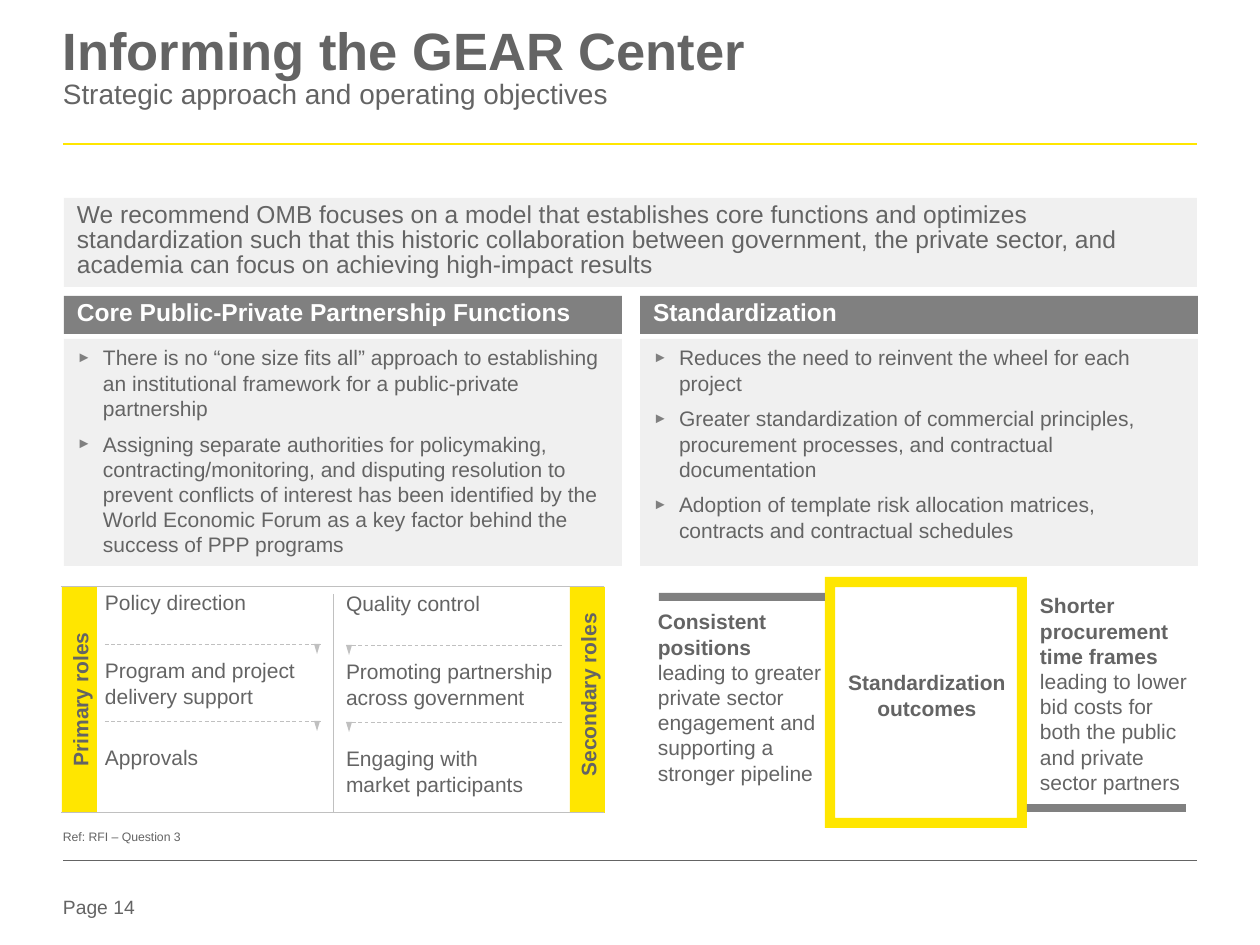
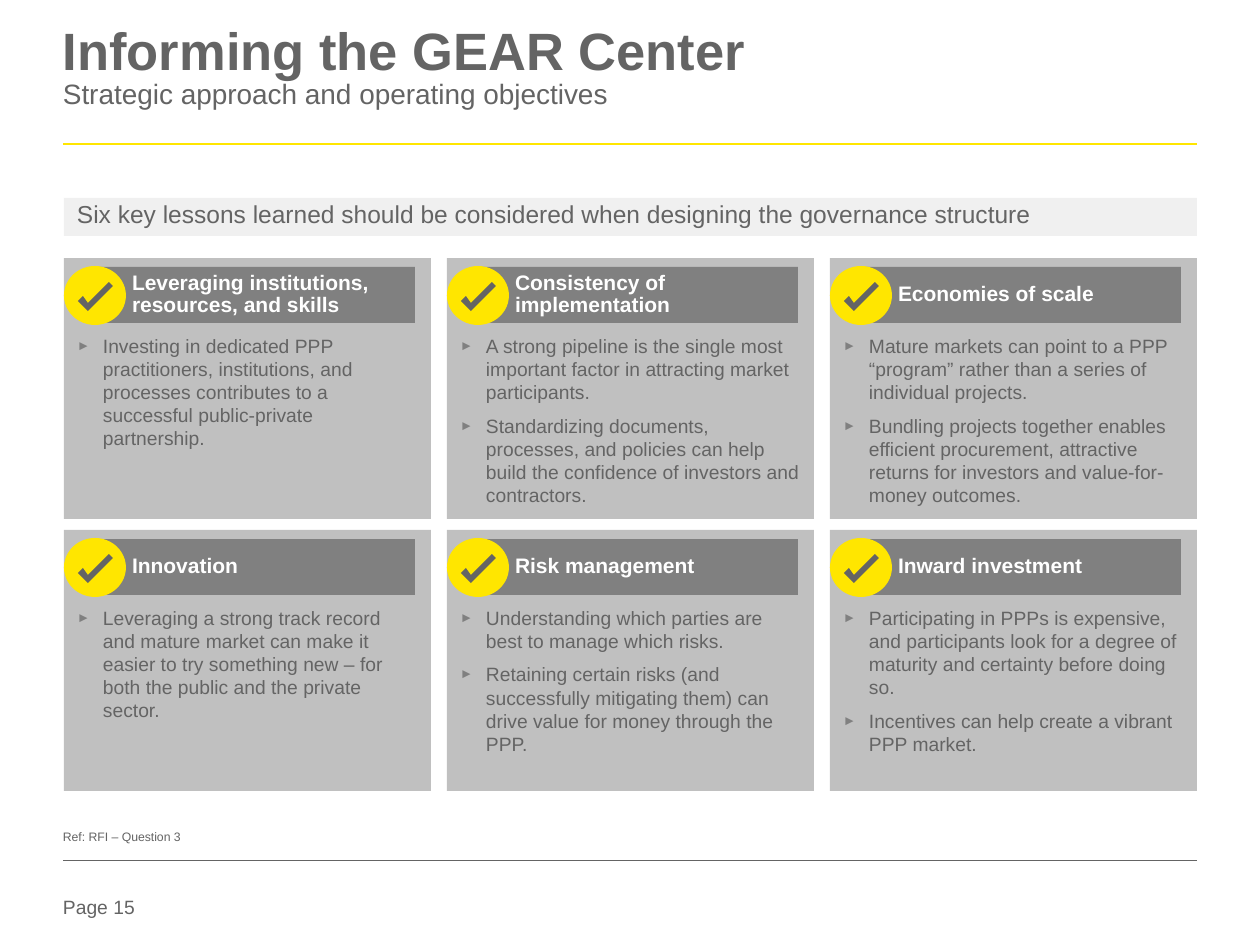
from copy import deepcopy
from typing import NamedTuple

from lxml import etree
from pptx import Presentation
from pptx.dml.color import RGBColor
from pptx.enum.dml import MSO_LINE
from pptx.enum.shapes import MSO_CONNECTOR, MSO_SHAPE
from pptx.enum.text import MSO_ANCHOR, PP_ALIGN
from pptx.oxml.ns import qn
from pptx.util import Emu, Pt

RECT, OVAL, FRAME = MSO_SHAPE.RECTANGLE, MSO_SHAPE.OVAL, MSO_SHAPE.FRAME
BRACKETS, TRIANGLE = MSO_SHAPE.DOUBLE_BRACKET, MSO_SHAPE.ISOSCELES_TRIANGLE
STRAIGHT, DASH = MSO_CONNECTOR.STRAIGHT, MSO_LINE.DASH
TOP, MIDDLE, BOTTOM = MSO_ANCHOR.TOP, MSO_ANCHOR.MIDDLE, MSO_ANCHOR.BOTTOM
LEFT, CENTER = PP_ALIGN.LEFT, PP_ALIGN.CENTER

EMU_PER_PX = 914400 / 126
FONT = "Arial"
COLORS = {"text": "646464", "yellow": "FFE600", "pale": "F0F0F0", "dark": "808080",
          "silver": "C0C0C0", "white": "FFFFFF"}
BULLET_INDENT = 26

PLAIN_INSETS = (0, 0, 0, 0)
BAND_INSETS = (13, 6, 13, 6)
STYLES = {
    "title": {"size": 30, "para": {"line_spacing": 0.85}},
    "band": {"size": 14, "insets": BAND_INSETS,
             "para": {"line_spacing": 0.85, "space_after": Pt(8)}},
    "heading": {"size": 14, "bold": True, "color": "white", "insets": BAND_INSETS,
                "para": {"line_spacing": 0.85, "space_after": Pt(8)}},
    "panel": {"size": 12, "insets": BAND_INSETS, "bullet": True,
              "para": {"space_after": Pt(6)}},
    "card": {"size": 11, "insets": (13, 76, 13, 13), "bullet": True,
             "para": {"space_after": Pt(6)}},
    "card heading": {"size": 12, "bold": True, "color": "white", "insets": (38, 6, 13, 6),
                     "frame": {"vertical_anchor": MIDDLE},
                     "para": {"line_spacing": 0.85, "space_after": Pt(8)}},
    "label": {"size": 12, "para": {"space_after": Pt(6)}},
    "side label": {"size": 12, "bold": True, "frame": {"word_wrap": False}},
    "center label": {"size": 12, "bold": True, "para": {"alignment": CENTER}},
    "reference": {"size": 7, "frame": {"vertical_anchor": BOTTOM}},
    "page number": {"size": 11},
}

TITLE = [("Informing the GEAR Center\n", {"bold": True}),
         ("Strategic approach and operating objectives", {"size": Pt(16)})]
REFERENCE = "Ref: RFI – Question 3"
RECOMMENDATION = (
    "We recommend OMB focuses on a model that establishes core functions and optimizes "
    "standardization such that this historic collaboration between government, the private "
    "sector, and academia can focus on achieving high-impact results")
PILLARS = [
    ("Core Public-Private Partnership Functions", [
        "There is no “one size fits all” approach to establishing an institutional framework "
        "for a public-private partnership",
        "Assigning separate authorities for policymaking, contracting/monitoring, and "
        "disputing resolution to prevent conflicts of interest has been identified by the "
        "World Economic Forum as a key factor behind the success of PPP programs"]),
    ("Standardization", [
        "Reduces the need to reinvent the wheel for each project",
        "Greater standardization of commercial principles, procurement processes, and "
        "contractual documentation",
        "Adoption of template risk allocation matrices, contracts and contractual schedules"]),
]
PRIMARY_ROLES = [("Policy direction", 213), ("Program and project delivery support", 213),
                 ("Approvals", 213)]
SECONDARY_ROLES = [("Quality control", 197), ("Promoting partnership across government", 222),
                   ("Engaging with market participants", 197)]
POSITIONS = [("Consistent positions\n", {"bold": True}),
             ("leading to greater private sector engagement and supporting a stronger pipeline",
              {})]
TIME_FRAMES = [("Shorter procurement time frames ", {"bold": True}),
               ("leading to lower bid costs for both the public and private sector partners",
                {})]
LESSONS_BAND = ("Six key lessons learned should be considered when designing the governance "
                "structure")
LESSONS = [
    ("Leveraging institutions, resources, and skills", [
        "Investing in dedicated PPP practitioners, institutions, and processes contributes to "
        "a successful public-private partnership."]),
    ("Consistency of implementation", [
        "A strong pipeline is the single most important factor in attracting market "
        "participants.",
        "Standardizing documents, processes, and policies can help build the confidence of "
        "investors and contractors."]),
    ("Economies of scale", [
        "Mature markets can point to a PPP “program” rather than a series of individual "
        "projects.",
        "Bundling projects together enables efficient procurement, attractive returns for "
        "investors and value-for-money outcomes."]),
    ("Innovation", [
        "Leveraging a strong track record and mature market can make it easier to try "
        "something new – for both the public and the private sector."]),
    ("Risk management", [
        "Understanding which parties are best to manage which risks.",
        "Retaining certain risks (and successfully mitigating them) can drive value for money "
        "through the PPP."]),
    ("Inward investment", [
        "Participating in PPPs is expensive, and participants look for a degree of maturity "
        "and certainty before doing so.",
        "Incentives can help create a vibrant PPP market."]),
]
CHECK_MARK = [(14, 43), (24, 53), (49, 28), (45, 24), (24, 45), (19, 38)]


class Box(NamedTuple):
    left: int
    top: int
    width: int
    height: int

    def within(self, left, top, width, height):
        return Box(self.left + left, self.top + top, width, height)

    def lengths(self):
        return [px(value) for value in self]


def px(value):
    return Emu(round(value * EMU_PER_PX))


def rgb(name):
    return RGBColor.from_string(COLORS[name])


def apply(target, values):
    for name, value in values.items():
        setattr(target, name, value)


def add_bullet(para):
    props = para._p.get_or_add_pPr()
    props.set("marL", str(px(BULLET_INDENT)))
    props.set("indent", str(-px(BULLET_INDENT)))
    color = etree.SubElement(props, qn("a:buClr"))
    etree.SubElement(color, qn("a:srgbClr"), val=COLORS["dark"])
    etree.SubElement(props, qn("a:buSzPct"), val="70000")
    etree.SubElement(props, qn("a:buFont"), typeface=FONT)
    etree.SubElement(props, qn("a:buChar"), char="►")


def write(shape, paragraphs, style_name):
    style = STYLES[style_name]
    frame = shape.text_frame
    apply(frame, {"word_wrap": True, "vertical_anchor": TOP, **style.get("frame", {})})
    for side, inset in zip(("left", "top", "right", "bottom"),
                           style.get("insets", PLAIN_INSETS)):
        setattr(frame, f"margin_{side}", px(inset))
    for index, spans in enumerate(paragraphs):
        para = frame.add_paragraph() if index else frame.paragraphs[0]
        apply(para, {"alignment": LEFT, **style.get("para", {})})
        if style.get("bullet"):
            add_bullet(para)
        for text, changes in [(spans, {})] if isinstance(spans, str) else spans:
            span = para.add_run()
            span.text = text.rstrip("\n")
            apply(span.font, {"name": FONT, "size": Pt(style["size"]),
                              "bold": style.get("bold", False), **changes})
            span.font.color.rgb = rgb(style.get("color", "text"))
            if text.endswith("\n"):
                para.add_line_break()
                para._p[-1].append(deepcopy(span._r.rPr))


def add_text(page, box, paragraphs, style_name):
    shape = page.shapes.add_textbox(*box.lengths())
    write(shape, paragraphs, style_name)
    return shape


def paint(shape, color):
    shape.shadow.inherit = False
    shape.fill.solid()
    shape.fill.fore_color.rgb = rgb(color)
    shape.line.fill.background()


def add_filled(page, kind, box, color):
    shape = page.shapes.add_shape(kind, *box.lengths())
    paint(shape, color)
    return shape


def add_panel(page, box, color, paragraphs, style_name):
    write(add_filled(page, RECT, box, color), paragraphs, style_name)


def add_line(page, start, end, color, width, dash=None):
    line = page.shapes.add_connector(STRAIGHT, *[px(value) for value in start + end])
    line.line.color.rgb = rgb(color)
    apply(line.line, {"width": Pt(width), "dash_style": dash})
    etree.SubElement(line._element.spPr, qn("a:effectLst"))


def add_page(deck, number):
    page = deck.slides.add_slide(deck.slide_layouts[6])
    add_line(page, (63, 144), (1197, 144), "yellow", 1.5)
    add_line(page, (63, 860), (1197, 860), "text", 0.25)
    add_text(page, Box(63, 28, 1134, 118), [TITLE], "title")
    add_text(page, Box(63, 829, 200, 15), [REFERENCE], "reference")
    add_text(page, Box(63, 895, 100, 28), [f"Page {number}"], "page number")
    return page


def add_pillar(page, box, heading, points):
    add_panel(page, box.within(0, 0, box.width, 38), "dark", [heading], "heading")
    add_panel(page, box.within(0, 43, box.width, box.height - 43), "pale", points, "panel")


def add_role_column(page, box, roles, arrow_left):
    for top, (role, width) in zip((3, 71, 158), roles):
        add_text(page, box.within(0, top, width, 50), [role], "label")
    for top in (57, 134):
        y = box.top + top
        add_line(page, (box.left, y), (box.left + box.width, y), "silver", 0.5, DASH)
        arrow = add_filled(page, TRIANGLE, box.within(arrow_left, top, 6, 10), "silver")
        arrow.rotation = 180


def add_roles(page, box):
    for left, center, label, length in ((0, 112, "Primary roles", 135),
                                        (box.width - 35, 107, "Secondary roles", 165)):
        add_filled(page, RECT, box.within(left, 0, 35, box.height), "yellow")
        label_box = box.within(left + 18 - length // 2, center - 13, length, 26)
        add_text(page, label_box, [label], "side label").rotation = 270
    turned = box.within((box.width - box.height) // 2, (box.height - box.width) // 2,
                        box.height, box.width)
    border = page.shapes.add_shape(BRACKETS, *turned.lengths())
    border.shadow.inherit = False
    border.adjustments[0] = 0
    border.rotation = 270
    border.fill.background()
    border.line.color.rgb = rgb("silver")
    border.line.width = Pt(0.5)
    middle = box.left + box.width // 2
    add_line(page, (middle, box.top + 7), (middle, box.top + box.height), "silver", 0.5)
    add_role_column(page, box.within(43, 0, 217, box.height), PRIMARY_ROLES, 209)
    add_role_column(page, box.within(284, 1, 217, box.height), SECONDARY_ROLES, 0)


def add_outcomes(page, box):
    frame = add_filled(page, FRAME, box.within(167, 0, 202, box.height), "yellow")
    frame.adjustments[0] = 0.05
    add_text(page, box.within(187, 93, 164, 50), ["Standardization outcomes"], "center label")
    add_filled(page, RECT, box.within(1, 16, 166, 8), "dark")
    add_text(page, box.within(0, 32, 164, 178), [POSITIONS], "label")
    add_filled(page, RECT, box.within(369, 227, 159, 8), "dark")
    add_text(page, box.within(382, 16, 157, 204), [TIME_FRAMES], "label")


def add_lesson(page, box, heading, points):
    add_panel(page, box, "silver", points, "card")
    add_panel(page, box.within(30, 9, 321, 56), "dark", [heading], "card heading")
    add_filled(page, OVAL, box.within(0, 8, 62, 59), "yellow")
    builder = page.shapes.build_freeform(*CHECK_MARK[0], scale=EMU_PER_PX)
    builder.add_line_segments(CHECK_MARK[1:], close=True)
    paint(builder.convert_to_shape(px(box.left), px(box.top)), "text")


def build_model_page(deck):
    page = add_page(deck, 14)
    add_panel(page, Box(64, 198, 1133, 89), "pale", [RECOMMENDATION], "band")
    for column, (heading, points) in enumerate(PILLARS):
        add_pillar(page, Box(64 + 576 * column, 296, 558, 270), heading, points)
    add_roles(page, Box(62, 587, 543, 226))
    add_outcomes(page, Box(658, 577, 537, 251))


def build_lessons_page(deck):
    page = add_page(deck, 15)
    add_panel(page, Box(64, 198, 1133, 38), "pale", [LESSONS_BAND], "band")
    for index, (heading, points) in enumerate(LESSONS):
        row, column = divmod(index, 3)
        add_lesson(page, Box(64 + 383 * column, 258 + 272 * row, 367, 261), heading, points)


def main():
    deck = Presentation()
    deck.slide_width, deck.slide_height = px(1260), px(945)
    build_model_page(deck)
    build_lessons_page(deck)
    deck.save("out.pptx")


if __name__ == "__main__":
    main()
